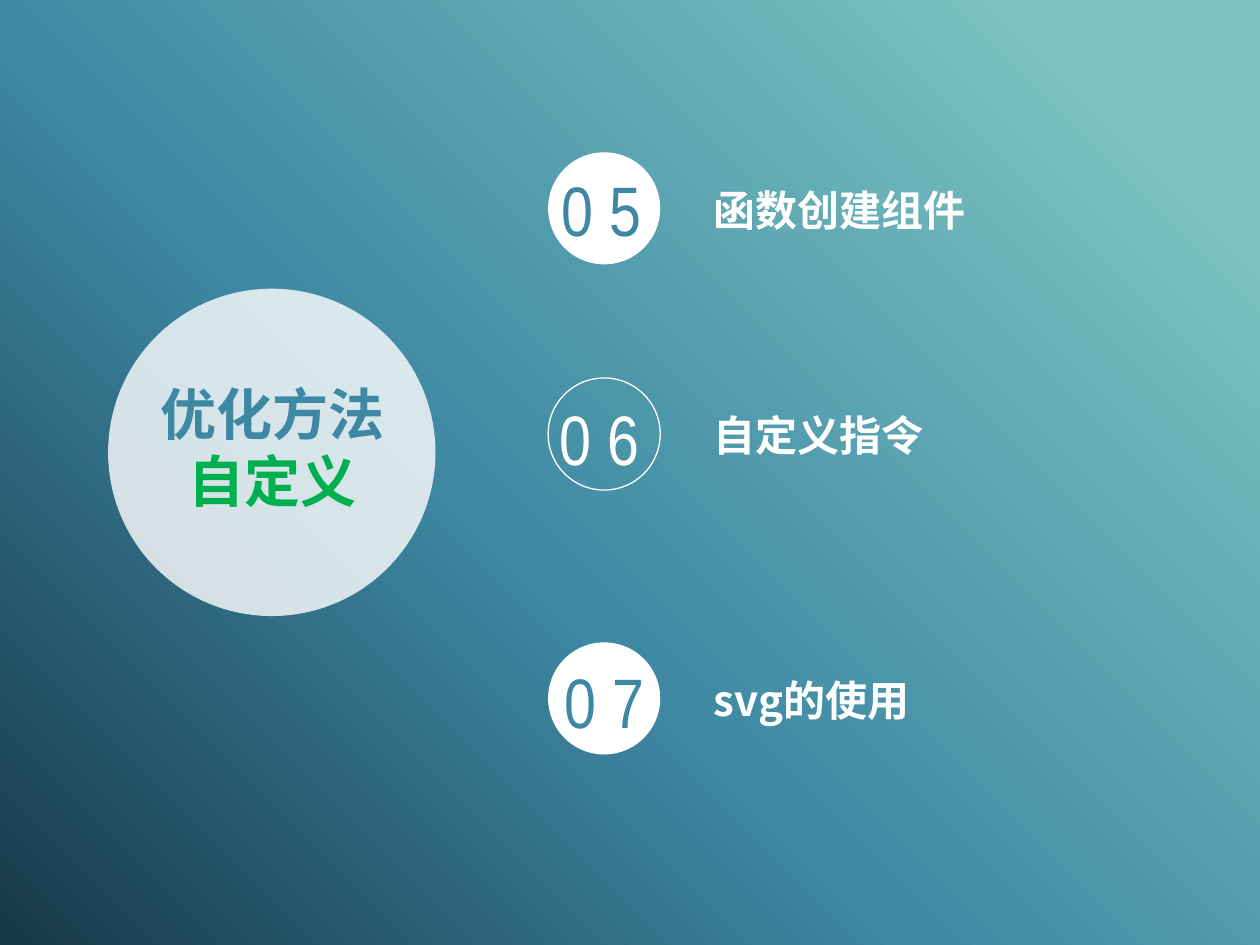
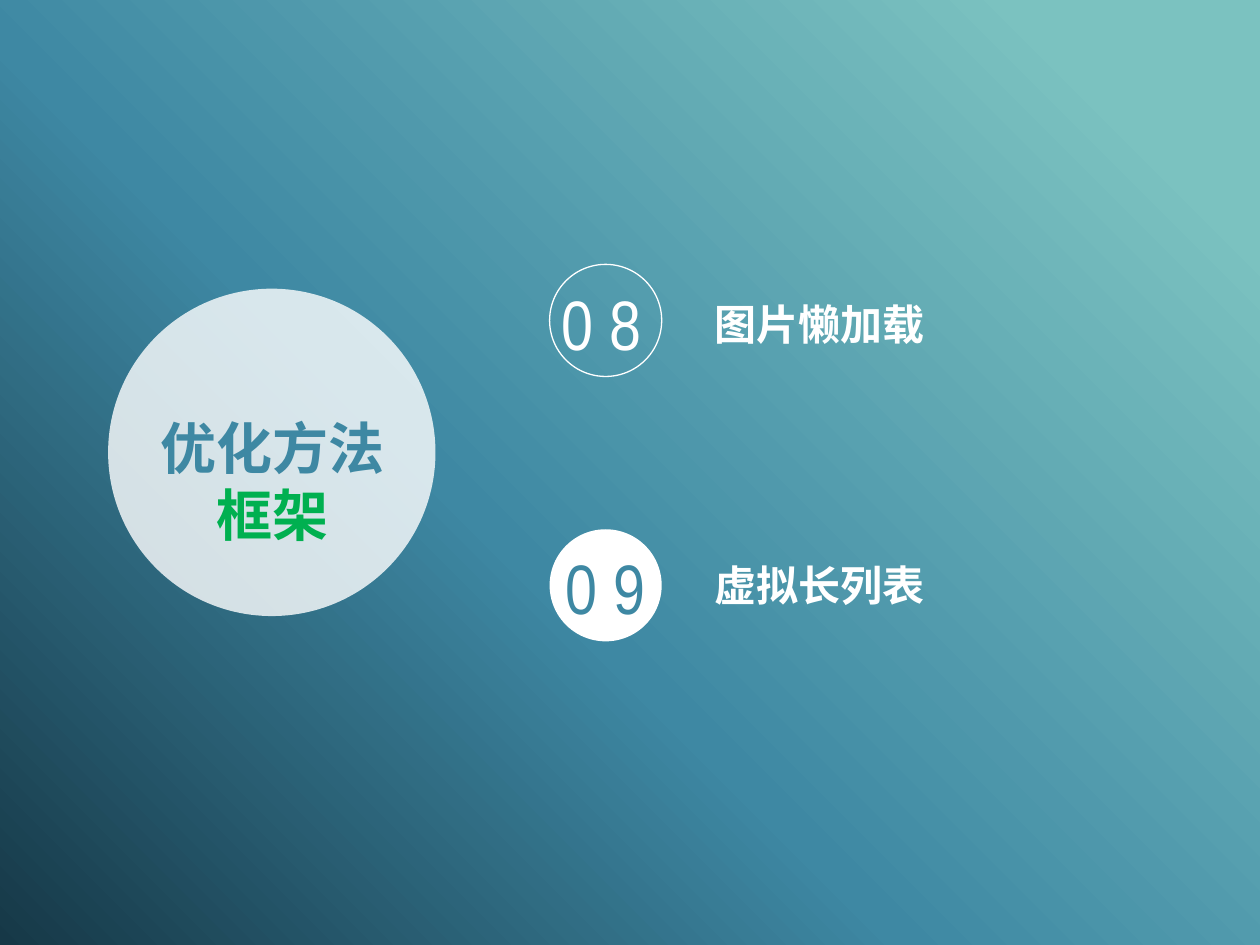
from dataclasses import dataclass

from lxml.etree import SubElement
from pptx import Presentation
from pptx.dml.color import RGBColor
from pptx.enum.shapes import MSO_SHAPE as Preset
from pptx.enum.text import MSO_AUTO_SIZE as AutoSize, PP_ALIGN as Align
from pptx.oxml.ns import qn
from pptx.util import Cm, Pt

# Lengths are in centimetres; each number has its own (dx, dy) from its disc.
SECTIONS = [
    {
        "heading": ("优化方法", "自定义"), "heading_top": 7.65, "disc_left": 11.05,
        "topics": [
            # number, topic, disc top, label top, number offset, filled disc
            ("0 5", "函数创建组件", 3.07, 3.71, (-0.05, 0.28), True),
            ("0 6", "自定义指令", 7.62, 8.26, (-0.1, 0.36), False),
            ("0 7", "svg的使用", 12.95, 13.59, (0, 0.33), True),
        ],
    },
    {
        "heading": ("优化方法", "框架"), "heading_top": 8.33, "disc_left": 11.08,
        "topics": [
            ("0 8", "图片懒加载", 5.33, 6.02, (-0.08, 0.33), False),
            ("0 9", "虚拟长列表", 10.67, 11.28, (0, 0.3), True),
        ],
    },
]


@dataclass(frozen=True)
class Theme:
    white: str = "FFFFFF"
    blue: str = "3E88A3"
    green: str = "00B050"
    gradient: tuple = ((0, "163847"), (41, "3E88A3"), (89, "7BC2C0"))
    heading_opacity: int = 80
    cjk_font: str = "Noto Sans CJK SC"
    number_font: str = "Arial Narrow"
    heading_size: int = 32
    number_size: int = 40
    label_size: int = 24


THEME = Theme()
SLIDE_W, SLIDE_H = 25.4, 19.05
HEADING_DISC = (2.18, 5.82, 6.6, 6.6)
HEADING_LEFT, HEADING_W, HEADING_H = 2.95, 5.08, 2.95
DISC = 2.26
NUMBER_H = 1.7
LABEL_GAP, LABEL_W, LABEL_H = 1.07, 8.97, 1.02


def add_plain_shape(slide, preset, box):
    shape = slide.shapes.add_shape(preset, *map(Cm, box))
    shape.shadow.inherit = False
    shape.fill.background()
    shape.line.fill.background()
    return shape


def fill_solid(shape, color, opacity=100):
    shape.fill.solid()
    shape.fill.fore_color.rgb = RGBColor.from_string(color)
    if opacity < 100:
        color_node = shape.fill._xPr.find(qn("a:solidFill"))[0]
        SubElement(color_node, qn("a:alpha"), val=str(opacity * 1000))


def add_backdrop(slide):
    backdrop = add_plain_shape(slide, Preset.RECTANGLE, (0, 0, SLIDE_W, SLIDE_H))
    backdrop.fill.gradient()
    backdrop.fill.gradient_angle = 45
    stops = backdrop.fill._xPr.find(qn("a:gradFill")).find(qn("a:gsLst"))
    for stop in list(stops):
        stops.remove(stop)
    for position, color in THEME.gradient:
        stop = SubElement(stops, qn("a:gs"), pos=str(position * 1000))
        SubElement(stop, qn("a:srgbClr"), val=color)


def add_text(slide, box, lines, font_name, size, bold=False, align=Align.LEFT):
    """Add a text box without margins; lines are (text, colour) pairs."""
    text_box = slide.shapes.add_textbox(*map(Cm, box))
    frame = text_box.text_frame
    frame_format = {
        "margin_left": 0, "margin_top": 0, "margin_right": 0, "margin_bottom": 0,
        "word_wrap": True, "auto_size": AutoSize.SHAPE_TO_FIT_TEXT,
    }
    for attribute, value in frame_format.items():
        setattr(frame, attribute, value)
    for index, (text, color) in enumerate(lines):
        paragraph = frame.add_paragraph() if index else frame.paragraphs[0]
        paragraph.alignment = align
        run = paragraph.add_run()
        run.text = text
        for attribute, value in {"name": font_name, "size": Pt(size), "bold": bold}.items():
            setattr(run.font, attribute, value)
        run.font.color.rgb = RGBColor.from_string(color)
        SubElement(run.font._element, qn("a:ea"), typeface=font_name)


def add_heading(slide, heading, top):
    disc = add_plain_shape(slide, Preset.OVAL, HEADING_DISC)
    fill_solid(disc, THEME.white, THEME.heading_opacity)
    add_text(slide, (HEADING_LEFT, top, HEADING_W, HEADING_H),
             zip(heading, (THEME.blue, THEME.green)),
             THEME.cjk_font, THEME.heading_size, True, Align.CENTER)


def add_topic(slide, left, number, topic, disc_top, label_top, offset, filled):
    disc = add_plain_shape(slide, Preset.OVAL, (left, disc_top, DISC, DISC))
    if filled:
        fill_solid(disc, THEME.white)
    else:
        disc.line.color.rgb = RGBColor.from_string(THEME.white)
        disc.line.width = Pt(0.75)
    dx, dy = offset
    add_text(slide, (left + dx, disc_top + dy, DISC, NUMBER_H),
             [(number, THEME.blue if filled else THEME.white)],
             THEME.number_font, THEME.number_size, align=Align.CENTER)
    add_text(slide, (left + DISC + LABEL_GAP, label_top, LABEL_W, LABEL_H),
             [(topic, THEME.white)], THEME.cjk_font, THEME.label_size, True)


def main():
    deck = Presentation()
    deck.slide_width, deck.slide_height = Cm(SLIDE_W), Cm(SLIDE_H)
    blank = deck.slide_layouts[6]
    for section in SECTIONS:
        slide = deck.slides.add_slide(blank)
        add_backdrop(slide)
        add_heading(slide, section["heading"], section["heading_top"])
        for topic in section["topics"]:
            add_topic(slide, section["disc_left"], *topic)
    deck.save("out.pptx")


if __name__ == "__main__":
    main()
